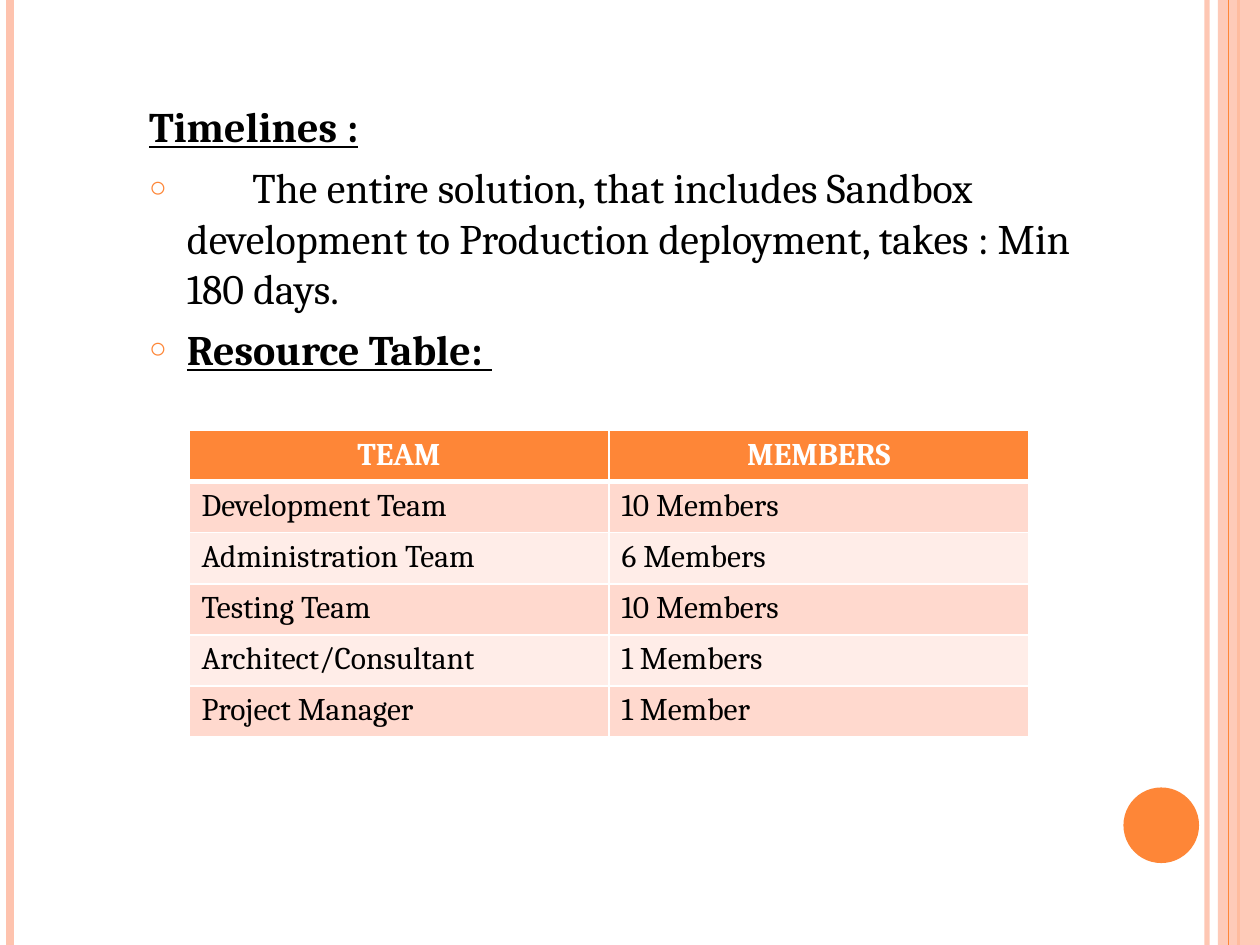
from lxml import etree
from pptx import Presentation
from pptx.dml.color import RGBColor
from pptx.enum import shapes, text
from pptx.oxml.ns import qn
from pptx.util import Pt

ORANGE = RGBColor(0xFE, 0x86, 0x37)
PEACH = RGBColor(0xFE, 0xC3, 0xAE)
ROSE = RGBColor(0xFF, 0xD9, 0xCE)
BLUSH = RGBColor(0xFF, 0xED, 0xE8)
WHITE = RGBColor(0xFF, 0xFF, 0xFF)
BLACK = RGBColor(0, 0, 0)


def add(node, tag, **attrs):
    """Append a child element with the given attributes."""
    return etree.SubElement(node, qn(tag), {k: str(v) for k, v in attrs.items()})


def style(run, **values):
    for key, value in {"name": "Cambria", **values}.items():
        if key == "color":
            run.font.color.rgb = value
        else:
            setattr(run.font, key, value)


deck = Presentation()
deck.slide_width, deck.slide_height = Pt(720), Pt(540)
slide = deck.slides.add_slide(deck.slide_layouts[1])
title = slide.shapes.title
title.element.getparent().remove(title.element)

# Side stripes: x, width, colour, opacity; the band lies under the last one
stripes = [(689.76, 3, PEACH, 93), (5.76, 4.5, PEACH, 100),
           (707.76, 1.5, ORANGE, 100), (702, 0.75, ORANGE, 100)]
for x, width, color, alpha in stripes:
    if x == 702:
        band = slide.shapes.add_shape(shapes.MSO_SHAPE.RECTANGLE,
                                      Pt(696), 0, Pt(24), Pt(540))
    line = slide.shapes.add_connector(shapes.MSO_CONNECTOR.STRAIGHT,
                                      Pt(x), 0, Pt(x), Pt(540))
    line.line.width = Pt(width)
    line.line.color.rgb = color
    props = line.element.spPr
    add(props, "a:effectLst")
    if alpha < 100:
        add(props.find(".//" + qn("a:srgbClr")), "a:alpha", val=alpha * 1000)

disc = slide.shapes.add_shape(shapes.MSO_SHAPE.OVAL,
                              Pt(642), Pt(450), Pt(43.2), Pt(43.2))
for shape, color in [(band, PEACH), (disc, ORANGE)]:
    shape.shadow.inherit = False
    shape.fill.solid()
    shape.fill.fore_color.rgb = color
    shape.line.fill.background()
add(band.element.spPr.find(".//" + qn("a:srgbClr")), "a:alpha", val=87000)

# Text
body = slide.placeholders[1]
body.left, body.top, body.width, body.height = Pt(78), Pt(54), Pt(564), Pt(222)
frame = body.text_frame
frame.word_wrap = True
frame.auto_size = text.MSO_AUTO_SIZE.NONE
items = [
    ("Timelines :", True, False),
    ("\tThe entire solution, that includes Sandbox development to "
     "Production deployment, takes : Min 180 days.", False, True),
    ("Resource Table: ", True, True),
]
for i, (words, head, bullet) in enumerate(items):
    para = frame.paragraphs[0] if i == 0 else frame.add_paragraph()
    para.space_before = Pt(6 if bullet else 0)
    run = para.add_run()
    run.text = words
    style(run, size=Pt(24), bold=head, underline=head, color=BLACK)
    props = para._p.get_or_add_pPr()
    indent = Pt(21.6) if bullet else 0
    props.set("marL", str(indent))
    props.set("indent", str(-indent))
    if bullet:
        add(add(props, "a:buClr"), "a:srgbClr", val=ORANGE)
        add(props, "a:buSzPct", val=70000)
        add(props, "a:buChar", char="○")
        if words.startswith("\t"):
            add(add(props, "a:tabLst"), "a:tab", pos=Pt(59), algn="l")
    else:
        add(props, "a:buNone")

# Resource table
rows = [
    ("TEAM", "MEMBERS"),
    ("Development Team", "10 Members"),
    ("Administration Team", "6 Members"),
    ("Testing Team", "10 Members"),
    ("Architect/Consultant", "1 Members"),
    ("Project Manager", "1 Member"),
]
table = slide.shapes.add_table(len(rows), 2, Pt(108), Pt(246),
                               Pt(480), Pt(29.2 * len(rows))).table
for r, row in enumerate(rows):
    for c, words in enumerate(row):
        cell = table.cell(r, c)
        para = cell.text_frame.paragraphs[0]
        run = para.add_run()
        run.text = words
        style(run, size=Pt(18), bold=r == 0, color=BLACK if r else WHITE)
        if r == 0:
            para.alignment = text.PP_ALIGN.CENTER
        props = cell._tc.get_or_add_tcPr()
        for side in "LRTB":
            thick = (r, side) in [(0, "B"), (1, "T")]
            edge = add(props, "a:ln" + side, w=Pt(3 if thick else 1))
            add(add(edge, "a:solidFill"), "a:srgbClr", val=WHITE)
        cell.fill.solid()
        cell.fill.fore_color.rgb = ORANGE if r == 0 else (BLUSH, ROSE)[r % 2]

deck.save("out.pptx")
